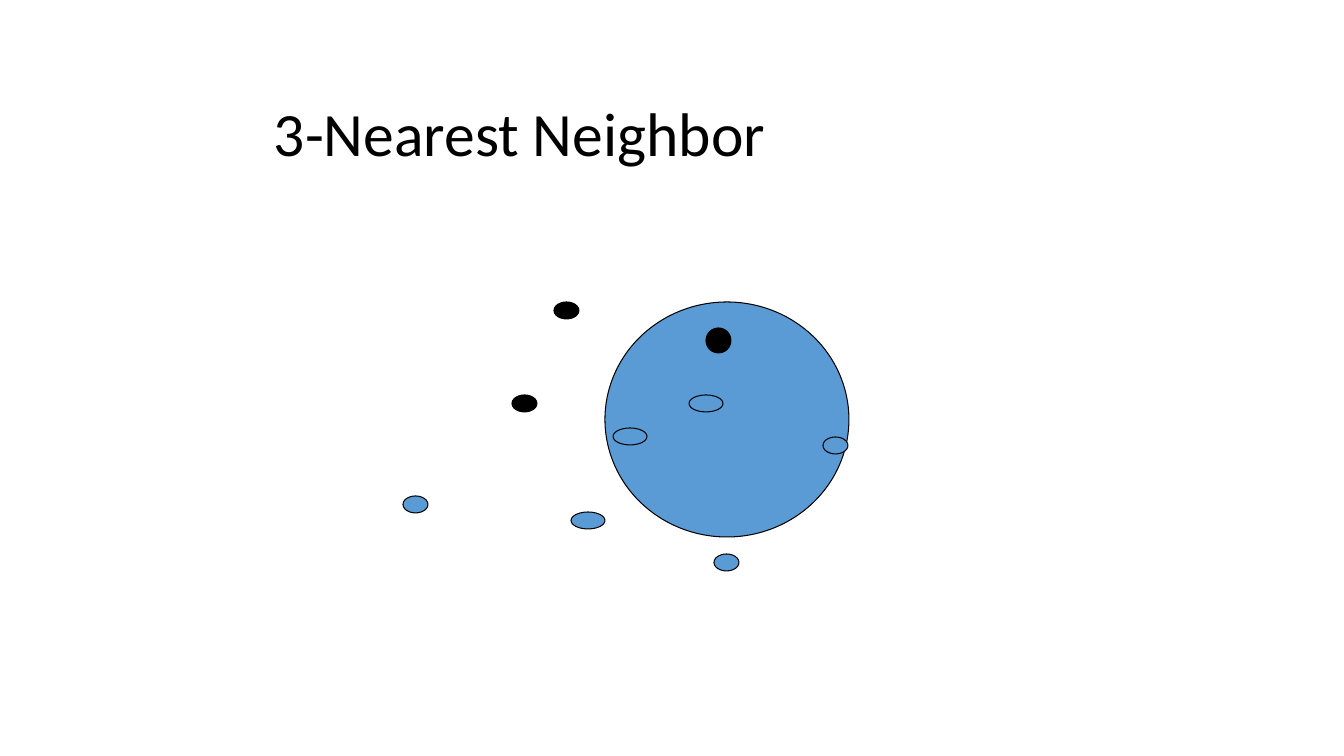
from pptx import Presentation
from pptx.dml.color import RGBColor
from pptx.enum.shapes import MSO_SHAPE as Shape
from pptx.enum.text import MSO_ANCHOR as Anchor
from pptx.util import Pt

SCALE = 914400 / 100.8
COLORS = {"black": "000000", "blue": "5B9BD5"}
TITLE_BOX = (264, 95, 900, 84)
SCATTER_BOX = (403, 302, 446, 269)
TITLE_FONT = {"name": "Calibri", "size": Pt(44), "bold": False}

NEIGHBORHOOD = (202, 0, 244, 235, "blue")
POINTS = [
    (109, 93, 25, 17, "black"),
    (286, 93, 34, 17, "blue"),
    (420, 135, 25, 17, "blue"),
    (151, 0, 25, 17, "black"),
    (303, 26, 25, 25, "black"),
    (0, 194, 25, 17, "blue"),
    (311, 252, 25, 17, "blue"),
    (168, 210, 34, 17, "blue"),
    (210, 126, 34, 17, "blue"),
]


def emu(pixels):
    return round(pixels * SCALE)


def color(name):
    return RGBColor.from_string(COLORS[name])


def add_title(slide, box, text):
    frame = slide.shapes.add_textbox(*map(emu, box)).text_frame
    for name, value in {"word_wrap": True, "vertical_anchor": Anchor.MIDDLE}.items():
        setattr(frame, name, value)
    paragraph = frame.paragraphs[0]
    paragraph.line_spacing = 0.9
    run = paragraph.add_run()
    run.text = text
    for name, value in TITLE_FONT.items():
        setattr(run.font, name, value)
    run.font.color.rgb = color("black")


def add_scatter(slide, box):
    left, top = box[:2]
    for x, y, width, height, fill in [NEIGHBORHOOD, *POINTS]:
        bounds = map(emu, (left + x, top + y, width, height))
        shape = slide.shapes.add_shape(Shape.OVAL, *bounds)
        shape.shadow.inherit = False
        shape.fill.solid()
        shape.fill.fore_color.rgb = color(fill)
        shape.line.color.rgb = color("black")
        shape.line.width = Pt(0.75)


presentation = Presentation()
presentation.slide_width = emu(1344)
presentation.slide_height = emu(756)
slide = presentation.slides.add_slide(presentation.slide_layouts[6])
add_scatter(slide, SCATTER_BOX)
add_title(slide, TITLE_BOX, "3-Nearest Neighbor")
presentation.save("out.pptx")
